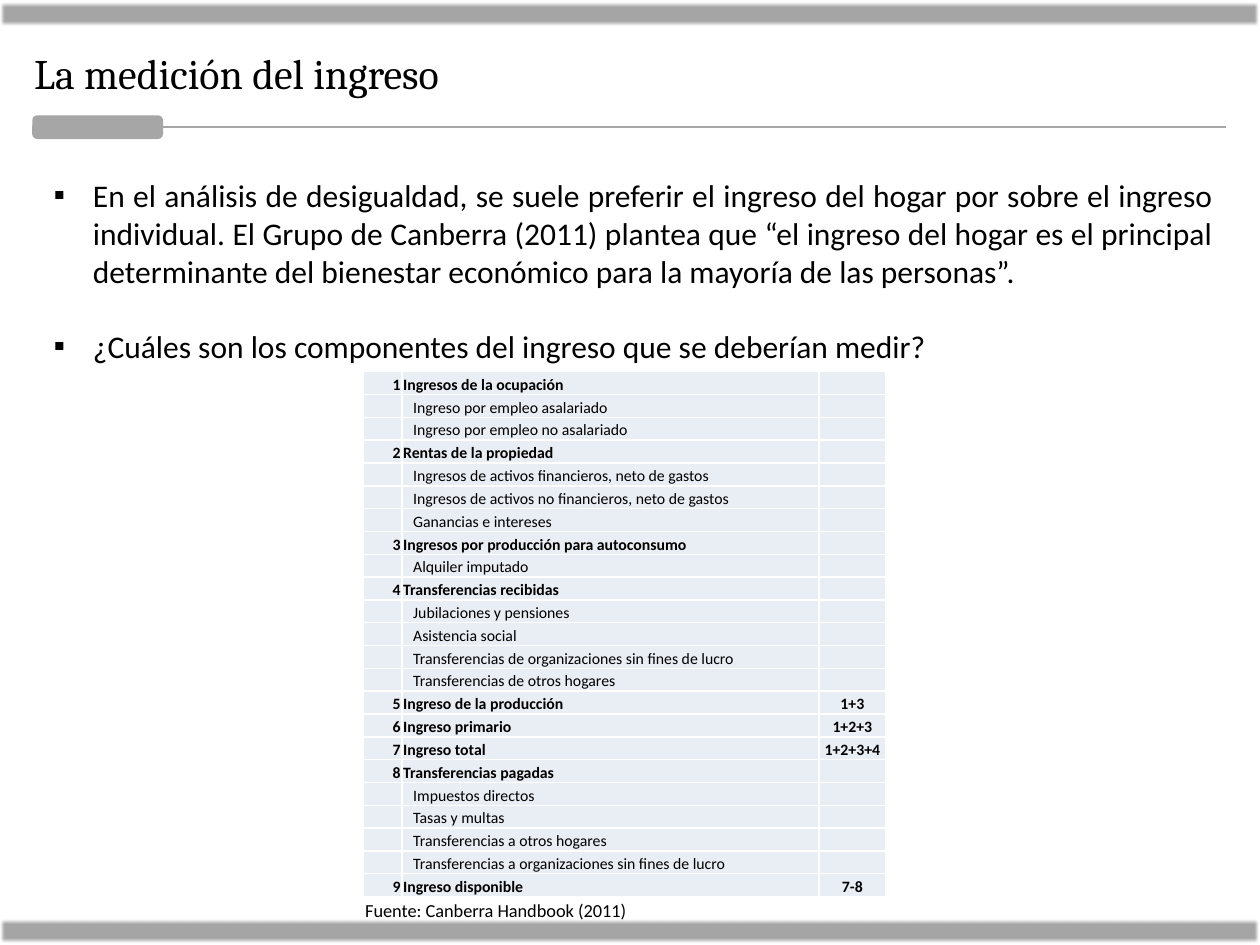
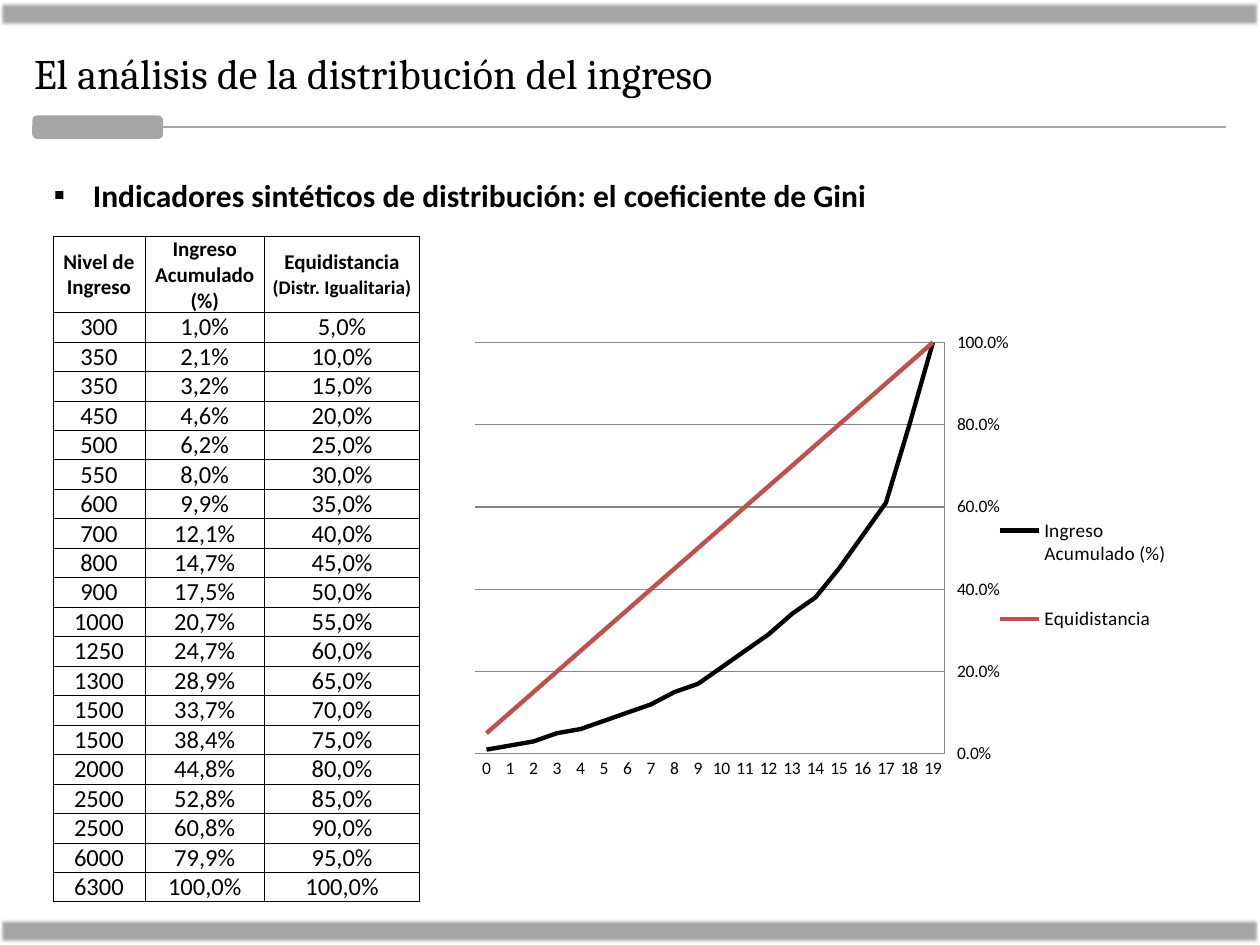
import pptx
import pptx.chart.data
import pptx.dml.color
import pptx.enum.chart
import pptx.enum.shapes
import pptx.enum.text
import pptx.oxml
import pptx.oxml.ns
import pptx.util
from lxml import etree

Inches = pptx.util.Inches
Pt = pptx.util.Pt
ALIGN = pptx.enum.text.PP_ALIGN
ANCHOR = pptx.enum.text.MSO_ANCHOR
SHAPE = pptx.enum.shapes.MSO_SHAPE
qn = pptx.oxml.ns.qn

BLACK, WHITE, GRAY = "000000", "FFFFFF", "A6A6A6"
CELL_BLUE, GRID_GRAY, RED = "E9EDF4", "868686", "C0504D"
BODY_FONT, TITLE_FONT = "Calibri", "Cambria"

COMPONENTS = [
    ("1", "Ingresos de la ocupación", ""),
    ("", "Ingreso por empleo asalariado", ""),
    ("", "Ingreso por empleo no asalariado", ""),
    ("2", "Rentas de la propiedad", ""),
    ("", "Ingresos de activos financieros, neto de gastos", ""),
    ("", "Ingresos de activos no financieros, neto de gastos", ""),
    ("", "Ganancias e intereses", ""),
    ("3", "Ingresos por producción para autoconsumo", ""),
    ("", "Alquiler imputado", ""),
    ("4", "Transferencias recibidas", ""),
    ("", "Jubilaciones y pensiones", ""),
    ("", "Asistencia social", ""),
    ("", "Transferencias de organizaciones sin fines de lucro", ""),
    ("", "Transferencias de otros hogares", ""),
    ("5", "Ingreso de la producción", "1+3"),
    ("6", "Ingreso primario", "1+2+3"),
    ("7", "Ingreso total", "1+2+3+4"),
    ("8", "Transferencias pagadas", ""),
    ("", "Impuestos directos", ""),
    ("", "Tasas y multas", ""),
    ("", "Transferencias a otros hogares", ""),
    ("", "Transferencias a organizaciones sin fines de lucro", ""),
    ("9", "Ingreso disponible", "7-8"),
]
INCOMES = [300, 350, 350, 450, 500, 550, 600, 700, 800, 900,
           1000, 1250, 1300, 1500, 1500, 2000, 2500, 2500, 6000, 6300]
ACCUMULATED = [1.0, 2.1, 3.2, 4.6, 6.2, 8.0, 9.9, 12.1, 14.7, 17.5,
               20.7, 24.7, 28.9, 33.7, 38.4, 44.8, 52.8, 60.8, 79.9, 100.0]
EQUAL = [5.0 * n for n in range(1, 21)]


def rgb(color):
    """Turn a hex string into a colour."""
    return pptx.dml.color.RGBColor.from_string(color)


def add_text(p, text, size=18, bold=False, font=BODY_FONT, align=None):
    """Append a formatted run to a paragraph."""
    if align is not None:
        p.alignment = align
    r = p.add_run()
    r.text = text
    r.font.size, r.font.bold, r.font.name = Pt(size), bold, font
    r.font.color.rgb = rgb(BLACK)


def add_box(s, x, y, w, h):
    """Add a wrapping text box and return its text frame."""
    tf = s.shapes.add_textbox(Inches(x), Inches(y), Inches(w), Inches(h)).text_frame
    tf.word_wrap = True
    return tf


def add_bullets(s, height, *items):
    """Add the bulleted body text from (text, bold, alignment) items."""
    tf = add_box(s, 0.33, 1.35, 9.4, height)
    for i, (text, bold, align) in enumerate(items):
        p = tf.add_paragraph() if i else tf.paragraphs[0]
        pPr = p._p.get_or_add_pPr()
        pPr.set("marL", str(Inches(0.31)))
        pPr.set("indent", str(-Inches(0.31)))
        etree.SubElement(pPr, qn("a:buFont")).set("typeface", BODY_FONT)
        etree.SubElement(pPr, qn("a:buChar")).set("char", "▪")
        if i:
            p.space_before = Pt(21.5)
        add_text(p, text, bold=bold, align=align)


def add_block(s, kind, x, y, w, h):
    """Add a gray shape without shadow or outline."""
    sp = s.shapes.add_shape(kind, Inches(x), Inches(y), Inches(w), Inches(h))
    sp.shadow.inherit = False
    sp.fill.solid()
    sp.fill.fore_color.rgb = rgb(GRAY)
    sp.line.fill.background()
    return sp


def add_slide(prs, title):
    """Add a slide with the shared bands, title and rule."""
    s = prs.slides.add_slide(prs.slide_layouts[5])
    for y in (0.01, 7.29):
        band = add_block(s, SHAPE.RECTANGLE, 0, y, 10, 0.2)
        effects = band._element.spPr.find(qn("a:effectLst"))
        etree.SubElement(effects, qn("a:softEdge")).set("rad", str(Pt(2)))
    sp = s.shapes.title
    sp.left, sp.top, sp.width, sp.height = map(Inches, (0.17, 0.33, 9.56, 0.5))
    sp.text_frame.vertical_anchor = ANCHOR.MIDDLE
    add_text(sp.text_frame.paragraphs[0], title, size=24, font=TITLE_FONT, align=ALIGN.LEFT)
    tab = add_block(s, SHAPE.ROUNDED_RECTANGLE, 0.27, 0.93, 1.01, 0.16)
    tab.line.color.rgb = rgb(GRAY)
    tab.line.width = Pt(2)
    rule = s.shapes.add_connector(pptx.enum.shapes.MSO_CONNECTOR.STRAIGHT,
                                  Inches(1.23), Inches(1.01), Inches(9.73), Inches(1.01))
    rule.line.color.rgb = rgb(GRAY)
    rule.line.width = Pt(1.25)
    etree.SubElement(rule._element.spPr, qn("a:effectLst"))
    return s


def add_table(s, x, y, widths, heights):
    """Add an unstyled table with the given column and row sizes."""
    table = s.shapes.add_table(len(heights), len(widths), Inches(x), Inches(y),
                               Inches(sum(widths)), Inches(sum(heights))).table
    table.first_row = table.horz_banding = False
    for column, width in zip(table.columns, widths):
        column.width = Inches(width)
    for row, height in zip(table.rows, heights):
        row.height = Inches(height)
    return table


def fill_cell(cell, text, size, bold=False, align=ALIGN.CENTER, anchor=ANCHOR.BOTTOM,
              insets=(0, 0, 0, 0), border=BLACK, width=0.5, fill=None):
    """Write a table cell and set its borders and fill."""
    cell.margin_left, cell.margin_top, cell.margin_right, cell.margin_bottom = map(Inches, insets)
    cell.vertical_anchor = anchor
    tcPr = cell._tc.get_or_add_tcPr()
    for side in ("a:lnL", "a:lnR", "a:lnT", "a:lnB"):
        ln = etree.SubElement(tcPr, qn(side))
        ln.set("w", str(Pt(width)))
        solid = etree.SubElement(ln, qn("a:solidFill"))
        etree.SubElement(solid, qn("a:srgbClr")).set("val", border)
    if fill:
        cell.fill.solid()
        cell.fill.fore_color.rgb = rgb(fill)
    else:
        cell.fill.background()
    p = cell.text_frame.paragraphs[0]
    if text:
        add_text(p, text, size=size, bold=bold, align=align)
    else:
        etree.SubElement(p._p, qn("a:endParaRPr")).set("sz", str(size * 100))


def add_components_table(s):
    """Add the table of income components."""
    table = add_table(s, 2.88, 2.95, (0.31, 3.31, 0.53), [4.17 / len(COMPONENTS)] * len(COMPONENTS))
    aligns = (ALIGN.RIGHT, ALIGN.LEFT, ALIGN.CENTER)
    for i, row in enumerate(COMPONENTS):
        is_heading = bool(row[0])
        for j, text in enumerate(row):
            left = 0.09 if j == 1 and not is_heading else 0.01
            fill_cell(table.cell(i, j), text, 9, bold=is_heading, align=aligns[j],
                      insets=(left, 0.01, 0.01, 0), border=WHITE, width=1, fill=CELL_BLUE)


def percent(value):
    """Format a percentage with a decimal comma."""
    return f"{value:.1f}%".replace(".", ",")


def add_distribution_table(s):
    """Add the table of income levels and accumulated shares."""
    table = add_table(s, 0.42, 1.88, (0.73, 0.95, 1.23), [0.59] + [0.23] * len(INCOMES))
    for j, text in enumerate(("Nivel de Ingreso", "Ingreso Acumulado (%)", "Equidistancia ")):
        fill_cell(table.cell(0, j), text, 12, bold=True, anchor=ANCHOR.MIDDLE)
    add_text(table.cell(0, 2).text_frame.paragraphs[0], "(Distr. Igualitaria)", size=11, bold=True)
    for i, (income, share, equal) in enumerate(zip(INCOMES, ACCUMULATED, EQUAL), 1):
        for j, text in enumerate((str(income), percent(share), percent(equal))):
            fill_cell(table.cell(i, j), text, 14)


def place(element, x, y, w, h, after=None):
    """Give a chart part a manual layout in fractions of the chart."""
    layout = element.find(qn("c:layout"))
    if layout is None:
        layout = etree.Element(qn("c:layout"))
        if after is None:
            element.insert(0, layout)
        else:
            element.find(qn(after)).addnext(layout)
    manual = etree.SubElement(layout, qn("c:manualLayout"))
    settings = [("layoutTarget", "inner")] if after is None else []
    settings += [("xMode", "edge"), ("yMode", "edge"), ("x", x), ("y", y), ("w", w), ("h", h)]
    for name, value in settings:
        etree.SubElement(manual, qn("c:" + name)).set("val", str(value))


def add_lorenz_chart(s):
    """Add the line chart of accumulated income against equality."""
    data = pptx.chart.data.CategoryChartData(number_format="0.0%")
    data.categories = [str(n) for n in range(len(INCOMES))]
    for name, values in (("Ingreso Acumulado (%)", ACCUMULATED), ("Equidistancia", EQUAL)):
        data.add_series(name, [round(v / 100, 2) for v in values])
    chart = s.shapes.add_chart(pptx.enum.chart.XL_CHART_TYPE.LINE, Inches(3.65), Inches(2.57),
                               Inches(5.92), Inches(3.69), data).chart
    chart.has_title = False
    chart.font.name, chart.font.size = BODY_FONT, Pt(10)
    chart.font.color.rgb = rgb(BLACK)
    chart.plots[0].vary_by_categories = False
    for series, color in zip(chart.plots[0].series, (BLACK, RED)):
        series.smooth = False
        series.format.line.color.rgb = rgb(color)
        series.format.line.width = Pt(2.5)
    cat, val = chart.category_axis, chart.value_axis
    val._element.find(qn("c:axPos")).set("val", "r")
    val._element.find(qn("c:crosses")).set("val", "max")
    val.tick_label_position = pptx.enum.chart.XL_TICK_LABEL_POSITION.HIGH
    val.minimum_scale, val.maximum_scale, val.major_unit = 0, 1, 0.2
    val.has_major_gridlines = True
    val.tick_labels.number_format = "0.0%"
    val.tick_labels.number_format_is_linked = False
    for axis in (cat, val):
        axis.major_tick_mark = axis.minor_tick_mark = pptx.enum.chart.XL_TICK_MARK.NONE
    for line in (cat.format.line, val.format.line, val.major_gridlines.format.line):
        line.color.rgb = rgb(GRID_GRAY)
        line.width = Pt(0.75)
    chart.has_legend = True
    legend = chart.legend
    legend.position = pptx.enum.chart.XL_LEGEND_POSITION.RIGHT
    legend.include_in_layout = False
    legend.font.name, legend.font.size = BODY_FONT, Pt(11)
    legend.font.color.rgb = rgb(BLACK)
    place(chart._chartSpace.chart.plotArea, 0.02, 0.04, 0.63, 0.885)
    place(legend._element, 0.71, 0.33, 0.25, 0.42, after="c:legendPos")


def main():
    """Build and save the two slides."""
    prs = pptx.Presentation()
    prs.slide_width, prs.slide_height = Inches(10), Inches(7.5)

    s = add_slide(prs, "La medición del ingreso")
    add_bullets(
        s, 1.92,
        ("En el análisis de desigualdad, se suele preferir el ingreso del hogar por sobre el "
         "ingreso individual. El Grupo de Canberra (2011) plantea que “el ingreso del hogar es "
         "el principal determinante del bienestar económico para la mayoría de las personas”.",
         False, ALIGN.JUSTIFY),
        ("¿Cuáles son los componentes del ingreso que se deberían medir?", False, ALIGN.LEFT))
    add_components_table(s)
    source = add_box(s, 2.8, 7.09, 5, 0.29)
    add_text(source.paragraphs[0], "Fuente: Canberra Handbook (2011)", size=10.5, align=ALIGN.JUSTIFY)

    s = add_slide(prs, "El análisis de la distribución del ingreso")
    add_bullets(s, 1.62, ("Indicadores sintéticos de distribución: el coeficiente de Gini",
                          True, ALIGN.JUSTIFY))
    add_distribution_table(s)
    add_lorenz_chart(s)

    prs.save("out.pptx")


if __name__ == "__main__":
    main()
